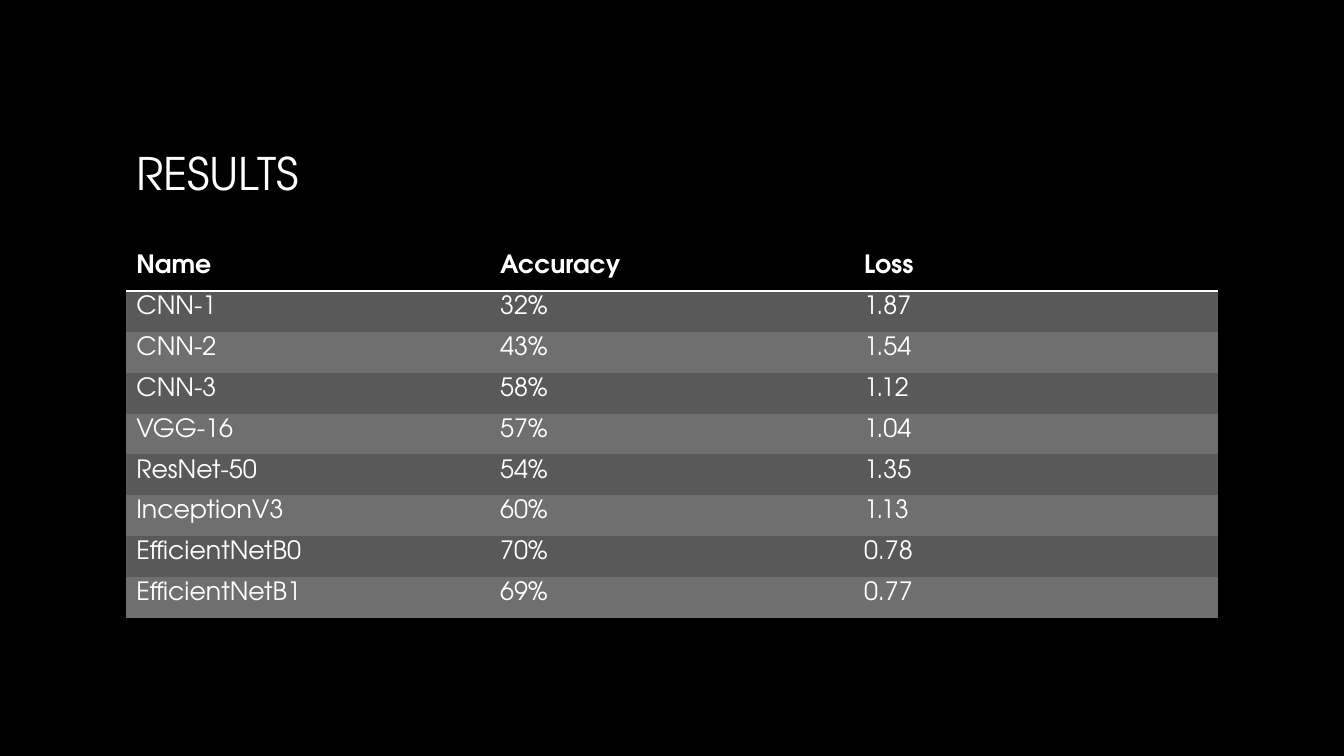
from dataclasses import dataclass

from lxml.etree import SubElement
from pptx import Presentation
from pptx.dml.color import RGBColor as Rgb
from pptx.enum.text import MSO_ANCHOR as Anchor
from pptx.oxml import parse_xml
from pptx.oxml.ns import nsdecls, qn
from pptx.util import Cm, Pt


@dataclass(frozen=True)
class Theme:
    font: str = "TeX Gyre Adventor"
    background: str = "000000"
    text: str = "FFFFFF"
    title_fade: str = "A6A6A6"
    bands: tuple = ("595959", "6F6F6F")
    title_size: int = 32
    table_size: int = 18
    rule_width: int = 2


THEME = Theme()
NO_STYLE = "{2D5ABB26-0587-4C30-8999-92F81FD0307C}"
LEFT, WIDTH = Cm(3.18), Cm(27.51)
ROW_HEIGHT = Cm(1.03)

RESULTS = [
    ("Name", "Accuracy", "Loss"),
    ("CNN-1", "32%", "1.87"),
    ("CNN-2", "43%", "1.54"),
    ("CNN-3", "58%", "1.12"),
    ("VGG-16", "57%", "1.04"),
    ("ResNet-50", "54%", "1.35"),
    ("InceptionV3", "60%", "1.13"),
    ("EfficientNetB0", "70%", "0.78"),
    ("EfficientNetB1", "69%", "0.77"),
]


def set_values(target, values):
    for name, value in values.items():
        setattr(target, name, value)


def paint(fill, color):
    fill.solid()
    fill.fore_color.rgb = Rgb.from_string(color)


def add_span(frame, text, size, bold=False):
    span = frame.paragraphs[0].add_run()
    span.text = text
    set_values(span.font, {"name": THEME.font, "size": Pt(size), "bold": bold})
    return span


def add_title(page, text):
    box = page.shapes.add_textbox(LEFT, Cm(1.7), WIDTH, Cm(5.28))
    frame = box.text_frame
    set_values(frame, {"word_wrap": True, "vertical_anchor": Anchor.MIDDLE})
    # White fading to grey down the letters
    fill = add_span(frame, text, THEME.title_size).font.fill
    fill.gradient()
    fill.gradient_angle = 267
    for stop, color in zip(fill.gradient_stops, (THEME.text, THEME.title_fade)):
        stop.color.rgb = Rgb.from_string(color)


def underline_cell(cell):
    border = parse_xml(
        f'<a:lnB {nsdecls("a")} w="{Pt(THEME.rule_width)}"><a:solidFill>'
        f'<a:srgbClr val="{THEME.text}"/></a:solidFill></a:lnB>'
    )
    cell._tc.get_or_add_tcPr().insert(0, border)


def fill_cell(cell, text, color, header):
    paint(cell.fill, color)
    span = add_span(cell.text_frame, text, THEME.table_size, bold=header)
    paint(span.font.fill, THEME.text)
    if header:
        underline_cell(cell)


def add_results_table(page, rows):
    table = page.shapes.add_table(
        len(rows), len(rows[0]), LEFT, Cm(6.3), WIDTH, ROW_HEIGHT * len(rows)
    ).table
    properties = table._tbl.tblPr
    style = properties.find(qn("a:tableStyleId"))
    if style is None:
        style = SubElement(properties, qn("a:tableStyleId"))
    style.text = NO_STYLE
    set_values(table, {"first_row": True, "horz_banding": False})

    for r, values in enumerate(rows):
        header = r == 0
        color = THEME.background if header else THEME.bands[(r - 1) % 2]
        table.rows[r].height = ROW_HEIGHT
        for c, text in enumerate(values):
            fill_cell(table.cell(r, c), text, color, header)


def main():
    # Deck and blank page
    deck = Presentation()
    set_values(deck, {"slide_width": Cm(33.87), "slide_height": Cm(19.05)})
    page = deck.slides.add_slide(deck.slide_layouts[6])
    paint(page.background.fill, THEME.background)

    # Title above the table of scores
    add_title(page, "RESULTS")
    add_results_table(page, RESULTS)
    deck.save("out.pptx")


if __name__ == "__main__":
    main()
